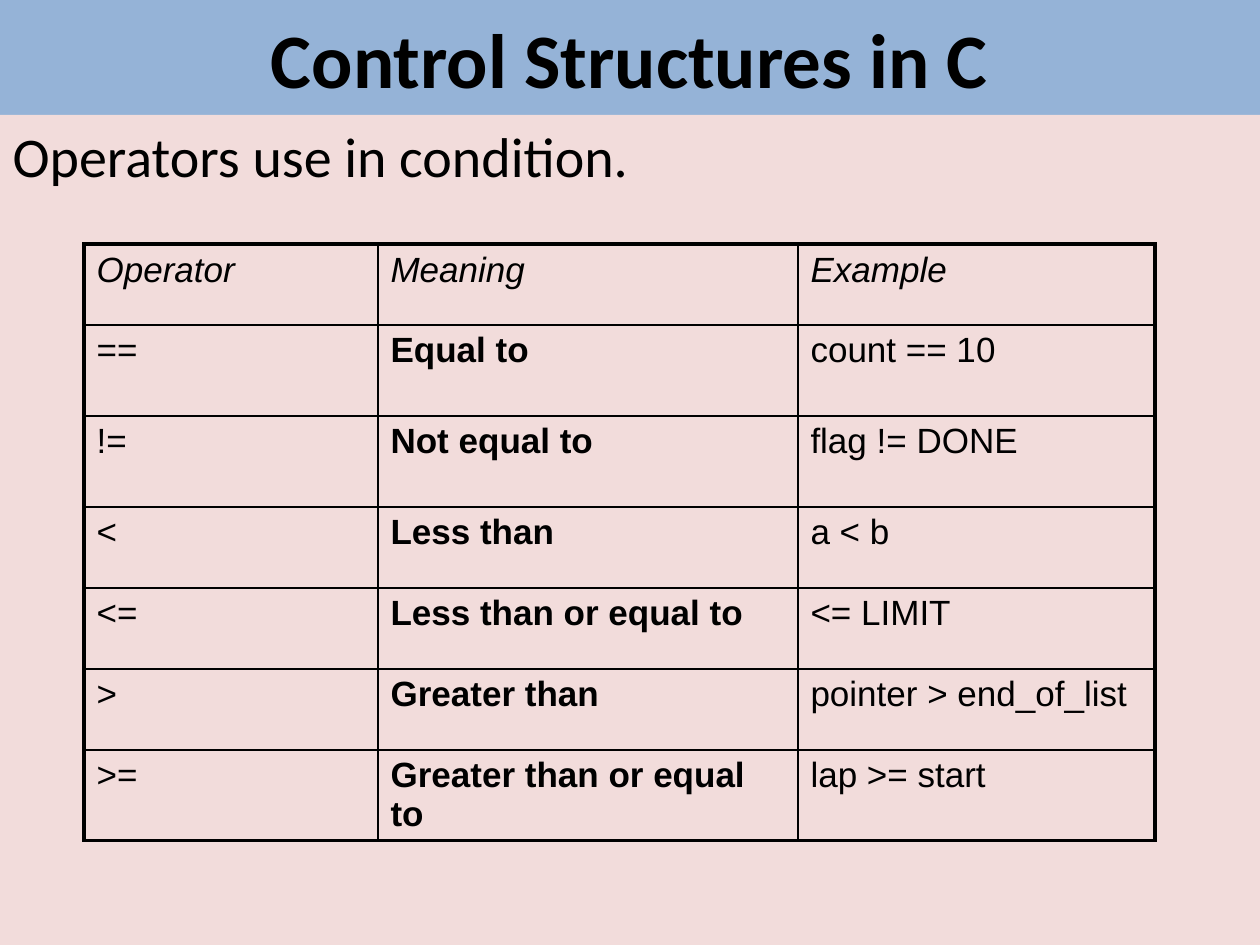
import pptx
import pptx.util
import pptx.dml.color
import pptx.enum.text
import pptx.oxml.ns
from lxml import etree

PX = 914400 // 126
COLORS = {"ink": "000000", "banner": "95B3D7", "page": "F2DCDB"}
THIN, THICK = 1, 2.25
COLUMNS = [294, 420, 357]
ROWS = [81, 91, 91, 81, 81, 81, 91]
OPERATORS = [
    ("Operator", "Meaning", "Example"),
    ("==", "Equal to", "count == 10"),
    ("!=", "Not equal to", "flag != DONE"),
    ("<", "Less than", "a < b"),
    ("<=", "Less than or equal to", "<= LIMIT"),
    (">", "Greater than", "pointer > end_of_list"),
    (">=", "Greater than or equal to", "lap >= start"),
]


def px(count):
    return pptx.util.Emu(count * PX)


def rgb(name):
    return pptx.dml.color.RGBColor.from_string(COLORS[name])


def write(frame, text, font, size, bold=False, italic=False, align="LEFT"):
    para = frame.paragraphs[0]
    para.alignment = getattr(pptx.enum.text.PP_ALIGN, align)
    para.space_before = pptx.util.Pt(0)
    span = para.add_run()
    span.text = text
    span.font.name = font
    span.font.size = pptx.util.Pt(size)
    span.font.bold = bold
    span.font.italic = italic
    span.font.color.rgb = rgb("ink")
    return para


def add_element(parent, tag, **attributes):
    return etree.SubElement(parent, pptx.oxml.ns.qn(tag), attributes)


class SlideWriter:
    heading_font = "Calibri"
    table_font = "Arial"

    def __init__(self, deck):
        self.page = deck.slides.add_slide(deck.slide_layouts[1])

    def place(self, box, top, height, color):
        box.left, box.top, box.width, box.height = px(0), px(top), px(1260), px(height)
        box.fill.solid()
        box.fill.fore_color.rgb = rgb(color)
        box.text_frame.auto_size = pptx.enum.text.MSO_AUTO_SIZE.NONE
        return box.text_frame

    def title(self, text):
        frame = self.place(self.page.shapes.title, 0, 115, "banner")
        frame.vertical_anchor = pptx.enum.text.MSO_ANCHOR.MIDDLE
        write(frame, text, self.heading_font, 44, bold=True, align="CENTER")

    def body(self, text):
        frame = self.place(self.page.placeholders[1], 115, 830, "page")
        para = write(frame, text, self.heading_font, 32)
        properties = para._p.get_or_add_pPr()
        properties.set("marL", str(px(48)))
        properties.set("indent", str(-px(48)))
        add_element(properties, "a:buNone")

    def borders(self, cell, widths):
        properties = cell._tc.get_or_add_tcPr()
        for side, width in widths.items():
            line = add_element(properties, f"a:ln{side}", w=str(pptx.util.Pt(width)))
            fill = add_element(line, "a:solidFill")
            add_element(fill, "a:srgbClr", val=COLORS["ink"])

    def table(self, left, top, columns, heights, rows):
        box = self.page.shapes.add_table(len(rows), len(columns), px(left), px(top),
                                         px(sum(columns)), px(sum(heights)))
        table = box.table
        table.first_row = False
        table.horz_banding = False
        for column, width in zip(table.columns, columns):
            column.width = px(width)
        for r, texts in enumerate(rows):
            table.rows[r].height = px(heights[r])
            for c, text in enumerate(texts):
                cell = table.cell(r, c)
                cell.margin_bottom = px(4)
                write(cell.text_frame, text, self.table_font, 20,
                      bold=r > 0 and c == 1, italic=r == 0)
                outer = {"L": c == 0, "R": c == len(columns) - 1,
                         "T": r == 0, "B": r == len(rows) - 1}
                self.borders(cell, {side: THICK if edge else THIN
                                    for side, edge in outer.items()})
                cell.fill.background()


def main():
    deck = pptx.Presentation()
    deck.slide_width, deck.slide_height = pptx.util.Inches(10), pptx.util.Inches(7.5)
    writer = SlideWriter(deck)
    writer.title("Control Structures in C")
    writer.body("Operators use in condition.")
    writer.table(84, 244, COLUMNS, ROWS, OPERATORS)
    deck.save("out.pptx")


if __name__ == "__main__":
    main()
